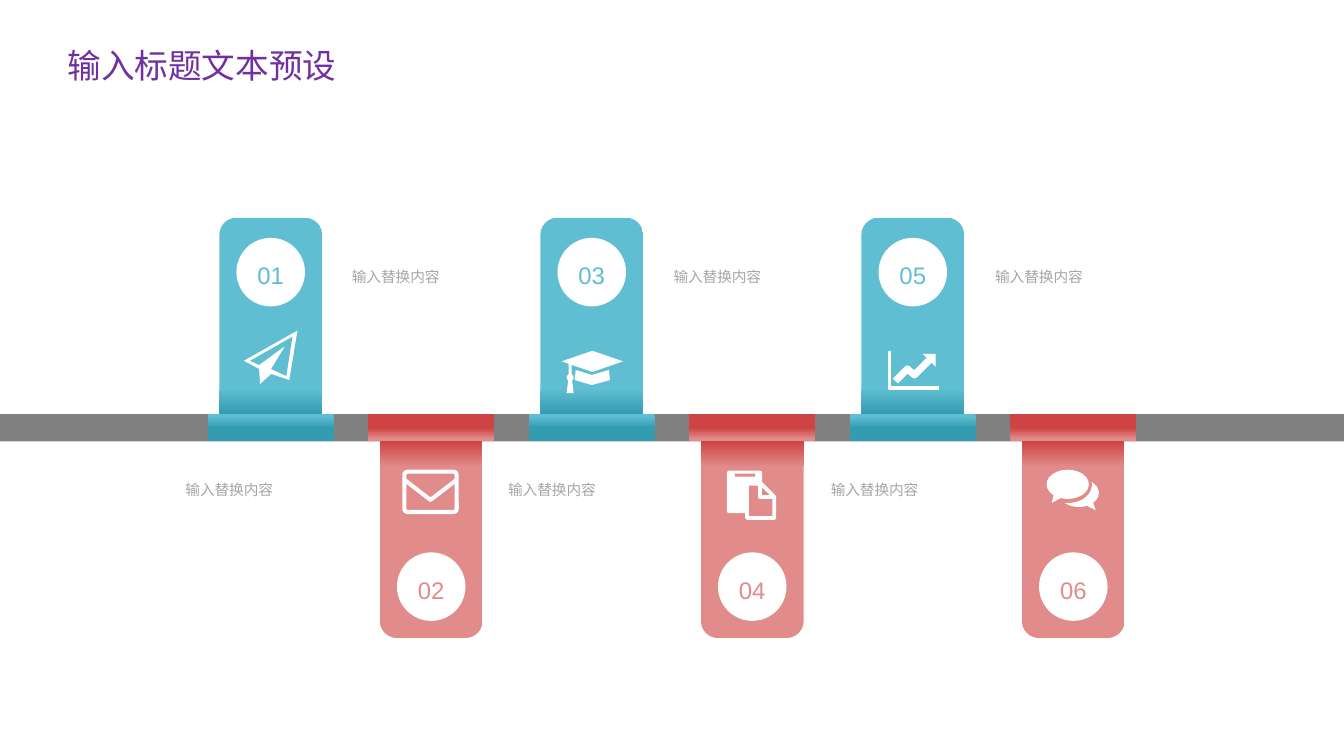
import pptx
import pptx.util
from pptx.dml.color import RGBColor
from pptx.enum.shapes import MSO_SHAPE
from pptx.enum.text import MSO_ANCHOR, MSO_AUTO_SIZE, PP_ALIGN
from pptx.oxml.ns import qn

Inches, Pt = pptx.util.Inches, pptx.util.Pt
WHITE = RGBColor(0xFF, 0xFF, 0xFF)
GREY = RGBColor(0x80, 0x80, 0x80)
LABEL = RGBColor(0xA6, 0xA6, 0xA6)
PURPLE = RGBColor(0x70, 0x30, 0xA0)
TEAL, DARK_TEAL = RGBColor(0x5F, 0xBE, 0xD1), RGBColor(0x33, 0x9C, 0xB1)
ROSE, DARK_ROSE = RGBColor(0xE1, 0x8B, 0x8B), RGBColor(0xCE, 0x43, 0x43)

WIDTH, HEIGHT = 13.33, 7.5
ROAD_Y, ROAD_H = 4.11, 0.27
CLIP_X, CLIP_W, PITCH = 2.06, 1.25, 1.592
CARD_W, CARD_H, DISC = 1.02, 1.95, 0.68
ROWS = [
    dict(card_y=ROAD_Y - CARD_H, disc_y=2.36, light=TEAL, dark=DARK_TEAL,
         label_x=3.49, label_y=2.62, label_w=1.55, step=3.19),
    dict(card_y=ROAD_Y + ROAD_H, disc_y=5.48, light=ROSE, dark=DARK_ROSE,
         label_x=1.84, label_y=4.74, label_w=1.64, step=3.2),
]

prs = pptx.Presentation()
prs.slide_width, prs.slide_height = Inches(WIDTH), Inches(HEIGHT)
s = prs.slides.add_slide(prs.slide_layouts[5])


def paint(sp, fill, stroke=0):
    sp.shadow.inherit = False
    if fill is None:
        sp.fill.background()
    elif isinstance(fill, list):
        sp.fill.gradient()
        sp.fill.gradient_angle = 270
        for stop, (position, rgb) in zip(sp.fill.gradient_stops, fill):
            stop.position, stop.color.rgb = position, rgb
    else:
        sp.fill.solid()
        sp.fill.fore_color.rgb = fill
    if stroke:
        sp.line.color.rgb, sp.line.width = WHITE, Pt(stroke)
    else:
        sp.line.fill.background()


def add_preset(kind, x, y, w, h, fill, stroke=0, adjust=()):
    sp = s.shapes.add_shape(kind, Inches(x), Inches(y), Inches(w), Inches(h))
    for k, value in enumerate(adjust):
        sp.adjustments[k] = value
    paint(sp, fill, stroke)
    return sp


title = s.shapes.title
for name, value in dict(left=0.57, top=0.4, width=3.36, height=0.5).items():
    setattr(title, name, Inches(value))
tf = title.text_frame
tf.text = '输入标题文本预设'
tf.vertical_anchor = MSO_ANCHOR.TOP
tf.auto_size = MSO_AUTO_SIZE.NONE
p = tf.paragraphs[0]
p.alignment = PP_ALIGN.LEFT
r = p.runs[0]
r.font.size, r.font.name, r.font.color.rgb = Pt(24), 'Noto Sans CJK SC', PURPLE
ea = r.font._element.makeelement(qn('a:ea'), {'typeface': 'Noto Sans CJK SC'})
r.font._element.find(qn('a:latin')).addnext(ea)

add_preset(MSO_SHAPE.RECTANGLE, 0, ROAD_Y, WIDTH, ROAD_H, GREY)

for i in range(6):
    row = ROWS[i % 2]
    x = CLIP_X + i * PITCH
    light, dark = row['light'], row['dark']
    clip = add_preset(MSO_SHAPE.RECTANGLE, x, ROAD_Y, CLIP_W, ROAD_H,
                      [(0.09, light), (0.5, dark)])
    card = add_preset(MSO_SHAPE.ROUND_2_SAME_RECTANGLE, x + (CLIP_W - CARD_W) / 2,
                      row['card_y'], CARD_W, CARD_H, [(0.87, light), (1, dark)])
    if i % 2:
        for sp in (clip, card):
            sp._element.spPr.find(qn('a:xfrm')).set('flipV', '1')

    disc = add_preset(MSO_SHAPE.OVAL, x + (CLIP_W - DISC) / 2, row['disc_y'],
                      DISC, DISC, WHITE)
    disc.text_frame.vertical_anchor = MSO_ANCHOR.MIDDLE
    label = s.shapes.add_textbox(Inches(row['label_x'] + i // 2 * row['step']),
                                 Inches(row['label_y']), Inches(row['label_w']),
                                 Inches(0.19))
    for name in ('margin_left', 'margin_top', 'margin_right', 'margin_bottom'):
        setattr(label.text_frame, name, 0)
    label.text_frame.auto_size = MSO_AUTO_SIZE.SHAPE_TO_FIT_TEXT
    for sp, text, size, color, align in (
            (disc, f'{i + 1:02}', 17.1, light, PP_ALIGN.CENTER),
            (label, '输入替换内容', 10.5, LABEL, PP_ALIGN.JUSTIFY)):
        tf = sp.text_frame
        tf.word_wrap = True
        p = tf.paragraphs[0]
        p.alignment, p.line_spacing = align, 1.2
        r = p.add_run()
        r.text = text
        r.font.size, r.font.name, r.font.color.rgb = Pt(size), 'Arial', color

envelope = (MSO_SHAPE.ROUNDED_RECTANGLE, 4.01, 4.68, 0.52, 0.4, None, 2.9, [0.08])
cap_board = (MSO_SHAPE.DIAMOND, 5.57, 3.48, 0.61, 0.21, WHITE)
cap_string = (MSO_SHAPE.RECTANGLE, 5.64, 3.61, 0.03, 0.12, WHITE)
cap_knot = (MSO_SHAPE.OVAL, 5.62, 3.71, 0.07, 0.07, WHITE)
cap_tassel = (MSO_SHAPE.TRAPEZOID, 5.62, 3.76, 0.07, 0.14, WHITE)
back_page = (MSO_SHAPE.ROUNDED_RECTANGLE, 7.21, 4.67, 0.35, 0.42, WHITE, 0, [0.06])
page_slot = (MSO_SHAPE.RECTANGLE, 7.29, 4.7, 0.2, 0.03, ROSE)
front_page = (MSO_SHAPE.SNIP_1_RECTANGLE, 7.41, 4.8, 0.27, 0.34, ROSE, 2.7, [0.48])
back_bubble = (MSO_SHAPE.OVAL_CALLOUT, 10.5, 4.75, 0.4, 0.28, WHITE, 0, [0.42, 0.61])
bubble_gap = (MSO_SHAPE.OVAL, 10.35, 4.63, 0.48, 0.36, ROSE)
front_bubble = (MSO_SHAPE.OVAL_CALLOUT, 10.38, 4.66, 0.42, 0.29, WHITE, 0, [-0.38, 0.64])
for preset in (envelope, cap_board, cap_string, cap_knot, cap_tassel, back_page,
               page_slot, front_page, back_bubble, bubble_gap, front_bubble):
    add_preset(*preset)

plane = [(2.95, 3.28), (2.87, 3.77), (2.69, 3.71), (2.58, 3.81), (2.57, 3.66),
         (2.42, 3.58)]
plane_gap = [(2.9, 3.34), (2.48, 3.58), (2.57, 3.62), (2.83, 3.43), (2.69, 3.66),
             (2.84, 3.73)]
cap_base = [(5.71, 3.67), (5.87, 3.72), (6.04, 3.67), (6.05, 3.77), (5.87, 3.82),
            (5.7, 3.77)]
arrow_head = [(9.15, 3.51), (9.28, 3.51), (9.28, 3.64)]
flap = [(4.01, 4.76), (4.27, 4.96), (4.53, 4.76)]
page_fold = [(7.54, 4.8), (7.54, 4.93), (7.68, 4.93)]
axes = [(8.82, 3.48), (8.82, 3.85), (9.31, 3.85)]
trend = [(8.88, 3.78), (9, 3.66), (9.07, 3.72), (9.23, 3.56)]
for points, fill, stroke in (
        (plane, WHITE, 0), (plane_gap, TEAL, 0), (cap_base, WHITE, 0),
        (arrow_head, WHITE, 0), (flap, None, 2.9), (page_fold, None, 2.7),
        (axes, None, 2.5), (trend, None, 5)):
    fb = s.shapes.build_freeform(*points[0], scale=Inches(1))
    fb.add_line_segments(points[1:], close=fill is not None)
    fb = s.shapes.build_freeform(*[round(v * 100) for v in points[0]],
                                 scale=Inches(1) / 100)
    fb.add_line_segments([(round(px * 100), round(py * 100)) for px, py in points[1:]],
                         close=fill is not None)
    paint(fb.convert_to_shape(), fill, stroke)

prs.save("out.pptx")
